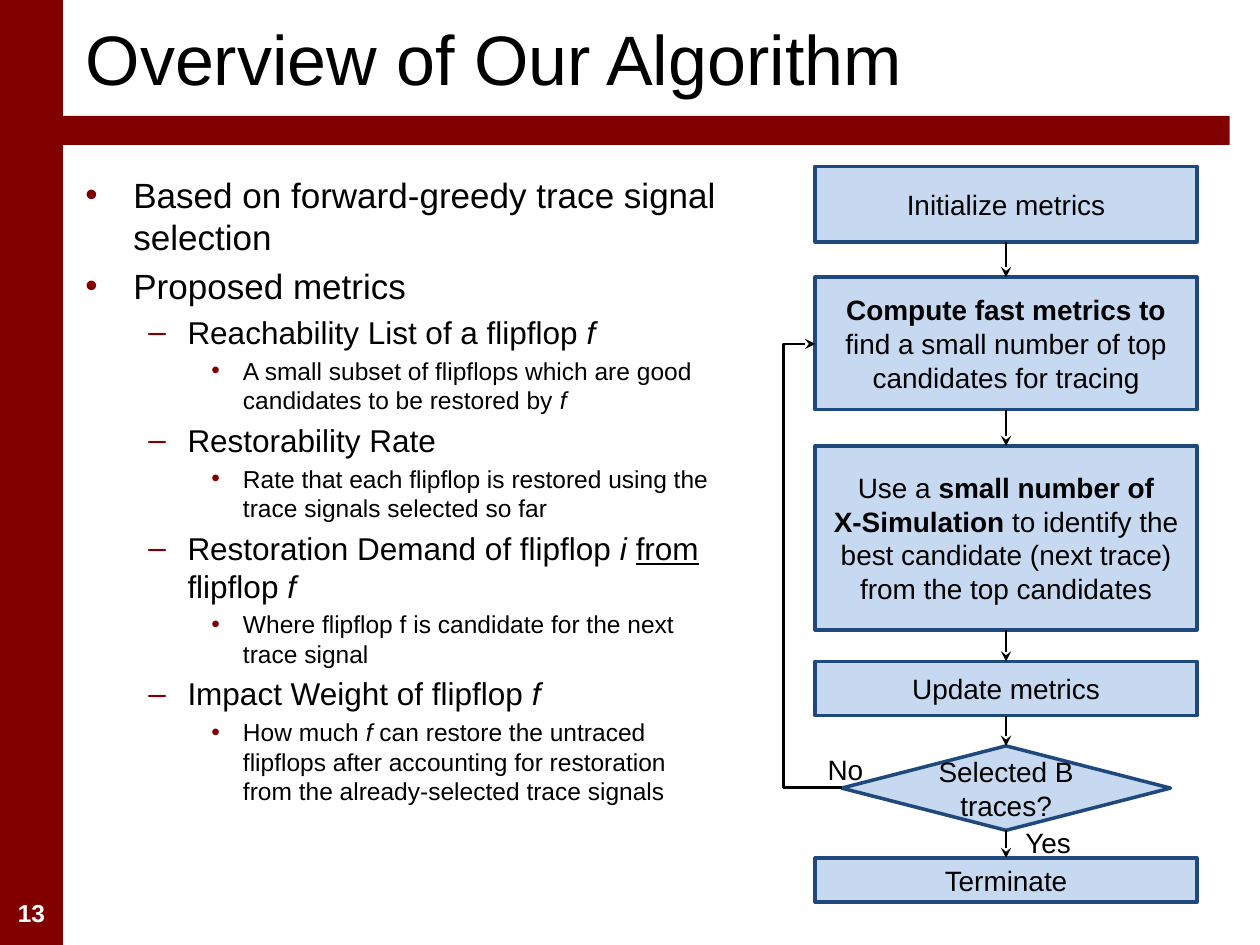
"""Build the slide that gives an overview of the algorithm."""
from itertools import pairwise

from lxml.etree import SubElement
from pptx import Presentation
from pptx.dml.color import RGBColor
from pptx.enum.shapes import MSO_CONNECTOR as Link, MSO_SHAPE as Shape
from pptx.enum.text import MSO_ANCHOR as Anchor, PP_ALIGN as Align
from pptx.oxml.ns import qn
from pptx.util import Inches, Pt

MAROON = RGBColor(0x80, 0x00, 0x00)
BLACK = RGBColor(0x00, 0x00, 0x00)
WHITE = RGBColor(0xFF, 0xFF, 0xFF)
PALE = RGBColor(0xC6, 0xD9, 0xF1)
NAVY = RGBColor(0x1F, 0x49, 0x7D)

BOLD = {"bold": True}
ITALIC = {"italic": True}
UNDER = {"underline": True}
F = ("f", ITALIC)

LEVELS = [
    {"size": 20, "left": 0.38, "hang": 0.38, "mark": "•"},
    {"size": 18, "left": 0.81, "hang": 0.31, "mark": "–"},
    {"size": 14, "left": 1.25, "hang": 0.25, "mark": "•"},
]

POINTS = [
    (0, ["Based on forward-greedy trace signal selection"]),
    (0, ["Proposed metrics"]),
    (1, ["Reachability List of a flipflop ", F]),
    (2, ["A small subset of flipflops which are good candidates to be restored by ", F]),
    (1, ["Restorability Rate"]),
    (2, ["Rate that each flipflop is restored using the trace signals selected so far"]),
    (1, ["Restoration Demand of flipflop ", ("i ", ITALIC), ("from", UNDER), " flipflop ", F]),
    (2, ["Where flipflop f is candidate for the next trace signal"]),
    (1, ["Impact Weight of flipflop ", F]),
    (2, ["How much ", ("f ", ITALIC), "can restore the untraced flipflops after accounting "
         "for restoration from the already-selected trace signals"]),
]

WIDE = (6.47, 3.03)
STEPS = [
    (Shape.RECTANGLE, WIDE, 1.32, 0.6, [["Initialize metrics"]]),
    (Shape.RECTANGLE, WIDE, 2.2, 1.05, [
        [("Compute fast metrics to", BOLD)],
        ["find a small number of top candidates for tracing"]]),
    (Shape.RECTANGLE, WIDE, 3.54, 1.46, [
        ["Use a ", ("small number of", BOLD), "\n", ("X-Simulation ", BOLD),
         "to identify the best candidate (next trace) from the top candidates"]]),
    (Shape.RECTANGLE, WIDE, 5.25, 0.43, [["Update metrics"]]),
    (Shape.DIAMOND, (6.68, 2.61), 5.92, 0.67, [["Selected B traces?"]]),
    (Shape.RECTANGLE, WIDE, 6.81, 0.35, [["Terminate"]]),
]


def style(item, vals):
    """Set each attribute of item from a dict."""
    for name, val in vals.items():
        setattr(item, name, val)


def write(para, runs, size, color=BLACK, **extra):
    """Add runs, plain or styled, to a paragraph."""
    for part in runs:
        if part == "\n":
            para.add_line_break()
            continue
        text, vals = (part, {}) if isinstance(part, str) else part
        run = para.add_run()
        run.text = text
        style(run.font, {"name": "Arial", "size": Pt(size), **extra, **vals})
        run.font.color.rgb = color


def fill(frame, paras, size, align, **extra):
    """Write paragraphs of one size and alignment into a frame."""
    for num, runs in enumerate(paras):
        para = frame.add_paragraph() if num else frame.paragraphs[0]
        para.alignment = align
        write(para, runs, size, **extra)


def add_box(slide, kind, box, color, edge=None):
    """Add a flat filled shape, with an edge if a colour is given."""
    shape = slide.shapes.add_shape(kind, *map(Inches, box))
    shape.shadow.inherit = False
    shape.fill.solid()
    shape.fill.fore_color.rgb = color
    if edge is None:
        shape.line.fill.background()
    else:
        shape.line.color.rgb = edge
        shape.line.width = Pt(2)
    return shape


def add_step(slide, kind, span, top, high, paras):
    """Add one step of the flow chart."""
    left, wide = span
    shape = add_box(slide, kind, (left, top, wide, high), PALE, NAVY)
    style(shape.text_frame, {"word_wrap": True, "vertical_anchor": Anchor.MIDDLE})
    fill(shape.text_frame, paras, 16, Align.CENTER)
    return shape


def add_text(slide, box):
    """Add a wrapping text box and return its frame."""
    frame = slide.shapes.add_textbox(*map(Inches, box)).text_frame
    frame.word_wrap = True
    return frame


def add_arrow(slide, kind, ends=(0, 0, 0, 0)):
    """Add a black connector with a stealth head."""
    line = slide.shapes.add_connector(kind, *map(Inches, ends))
    style(line.line, {"width": Pt(1.5)})
    line.line.color.rgb = BLACK
    props = line._element.spPr
    SubElement(props.find(qn("a:ln")), qn("a:tailEnd"), type="stealth")
    SubElement(props, qn("a:effectLst"))
    return line


def add_loop(slide):
    """Add the bent arrow back to the second step."""
    line = add_arrow(slide, Link.ELBOW, (6.68, 6.25, 6.47, 2.73))
    geom = line._element.spPr.find(qn("a:prstGeom"))
    SubElement(geom.find(qn("a:avLst")), qn("a:gd"), name="adj1", fmla="val 219600")


def add_points(slide):
    """Add the bulleted outline."""
    frame = add_text(slide, (0.58, 1.33, 5.25, 5.83))
    for num, (level, runs) in enumerate(POINTS):
        look = LEVELS[level]
        para = frame.add_paragraph() if num else frame.paragraphs[0]
        style(para, {"level": level, "space_before": Pt(look["size"] * 0.2)})
        props = para._p.get_or_add_pPr()
        props.set("marL", str(Inches(look["left"])))
        props.set("indent", str(-Inches(look["hang"])))
        tint = SubElement(props, qn("a:buClr"))
        SubElement(tint, qn("a:srgbClr"), val=str(MAROON))
        SubElement(props, qn("a:buFont"), typeface="Arial")
        SubElement(props, qn("a:buChar"), char=look["mark"])
        write(para, runs, look["size"])


def add_title(slide):
    """Place and fill the title."""
    title = slide.shapes.title
    style(title, {"left": Inches(0.58), "top": Inches(-0.08),
                  "width": Inches(9.17), "height": Inches(1.08)})
    title.text_frame.vertical_anchor = Anchor.MIDDLE
    fill(title.text_frame, [["Overview of Our Algorithm"]], 40, Align.LEFT)


def add_flow(slide):
    """Add the flow chart."""
    steps = [add_step(slide, *step) for step in STEPS]
    for upper, lower in pairwise(steps):
        line = add_arrow(slide, Link.STRAIGHT)
        line.begin_connect(upper, 2)
        line.end_connect(lower, 0)
    add_loop(slide)
    for text, box in (("No", (6.47, 5.92, 0.82, 0.37)), ("Yes", (8.04, 6.5, 1.07, 0.37))):
        fill(add_text(slide, box), [[text]], 16, Align.LEFT)


def main():
    """Build and save the slide."""
    deck = Presentation()
    style(deck, {"slide_width": Inches(10), "slide_height": Inches(7.5)})
    slide = deck.slides.add_slide(deck.slide_layouts[5])
    for band in ((0, 0, 0.5, 7.5), (0.42, 0.92, 9.34, 0.23)):
        add_box(slide, Shape.RECTANGLE, band, MAROON)
    page = add_text(slide, (0, 7.08, 0.5, 0.33))
    fill(page, [["13"]], 14, Align.CENTER, color=WHITE, bold=True)
    add_title(slide)
    add_points(slide)
    add_flow(slide)
    deck.save("out.pptx")


if __name__ == "__main__":
    main()
